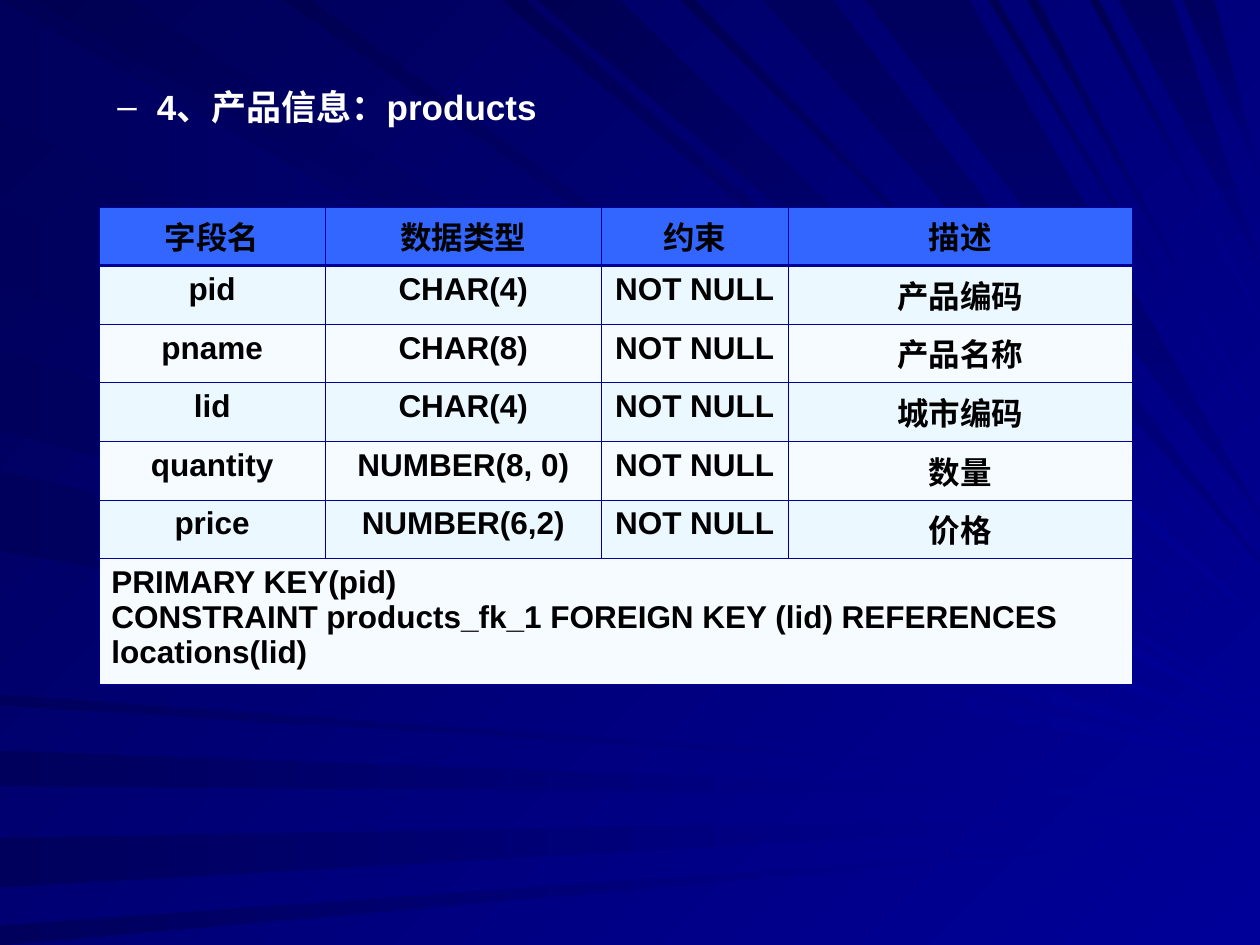
from dataclasses import dataclass

from lxml.etree import SubElement
from pptx import Presentation
from pptx.dml.color import RGBColor
from pptx.enum.text import PP_ALIGN
from pptx.oxml.ns import qn
from pptx.util import Pt


@dataclass(frozen=True)
class Theme:
    font: str = "Arial"
    heading_size: float = 20
    table_size: float = 18
    heading: str = "FFFFFF"
    table_text: str = "000000"
    header_fill: str = "3366FF"
    row_fills: tuple = ("ECF8FF", "F6FBFF")
    border: str = "000099"
    thin: float = 0.45
    thick: float = 1.47
    # Gradients are (start colour, end colour, counter-clockwise angle).
    background: tuple = ("000099", "000057", 135)
    flat_ray: tuple = ("000099", "00005C", 180)
    diagonal_ray: tuple = ("000099", "000052", 135)
    steep_ray: tuple = ("00005E", "000080", 270)


THEME = Theme()
HEADING = "4、产品信息：products"
ROWS = [
    ("字段名", "数据类型", "约束", "描述"),
    ("pid", "CHAR(4)", "NOT NULL", "产品编码"),
    ("pname", "CHAR(8)", "NOT NULL", "产品名称"),
    ("lid", "CHAR(4)", "NOT NULL", "城市编码"),
    ("quantity", "NUMBER(8, 0)", "NOT NULL", "数量"),
    ("price", "NUMBER(6,2)", "NOT NULL", "价格"),
]
CONSTRAINTS = [
    "PRIMARY KEY(pid)",
    "CONSTRAINT products_fk_1 FOREIGN KEY (lid) REFERENCES locations(lid)",
]
COLUMN_WIDTHS = [129.5, 157.5, 107, 196.5]
ROW_HEIGHT, CONSTRAINT_HEIGHT = 33.5, 67.5
SLIDE_WIDTH, SLIDE_HEIGHT = 720, 540

# Each ray tapers from a stretch (start, end) of the left or top edge
# to a point at the given height on the right edge.
LEFT_RAYS = [
    (1, 67, 410), (429, 449, 455), (479, 507, 466), (529, 540, 477),
    (114, 164, 421), (200, 246, 433), (269, 315, 436), (397, 403, 448),
]
DIAGONAL_RAYS = [
    (19, 73, 405), (162, 178, 396), (287, 300, 373), (307, 354, 355),
    (389, 397, 333), (565, 570, 257), (587, 593, 242), (623, 628, 182),
]
STEEP_RAYS = [(436, 476, 321), (494, 554, 294), (639, 670, 151), (676, 694, 101)]


def paint(fill, paint_value):
    """Apply one colour, or a (start, end, angle) gradient."""
    if isinstance(paint_value, str):
        fill.solid()
        fill.fore_color.rgb = RGBColor.from_string(paint_value)
        return
    *colors, angle = paint_value
    fill.gradient()
    fill.gradient_angle = angle
    for stop, color in zip(fill.gradient_stops, colors):
        stop.color.rgb = RGBColor.from_string(color)


def add_run(paragraph, text, size, color):
    run = paragraph.add_run()
    run.text = text
    run.font.name = THEME.font
    run.font.size = Pt(size)
    run.font.bold = True
    run.font.color.rgb = RGBColor.from_string(color)


def add_rays(slide):
    rays = slide.shapes.add_group_shape().shapes
    for bands, from_left, gradient in (
        (LEFT_RAYS, True, THEME.flat_ray),
        (DIAGONAL_RAYS, False, THEME.diagonal_ray),
        (STEEP_RAYS, False, THEME.steep_ray),
    ):
        for start, end, tip in bands:
            edge = [(0, start), (0, end)] if from_left else [(start, 0), (end, 0)]
            builder = rays.build_freeform(*edge[0], scale=Pt(1))
            builder.add_line_segments([edge[1], (SLIDE_WIDTH, tip)], close=True)
            shape = builder.convert_to_shape()
            shape.shadow.inherit = False
            shape.line.fill.background()
            paint(shape.fill, gradient)


def add_heading(slide):
    box = slide.shapes.add_textbox(Pt(24), Pt(45.5), Pt(672), Pt(463))
    box.text_frame.word_wrap = True
    paragraph = box.text_frame.paragraphs[0]
    paragraph.level = 1
    properties = paragraph._p.get_or_add_pPr()
    properties.set("marL", str(Pt(58.5)))
    properties.set("indent", str(Pt(-22.5)))
    bullet_color = SubElement(properties, qn("a:buClr"))
    SubElement(bullet_color, qn("a:srgbClr"), val=THEME.heading)
    SubElement(properties, qn("a:buFont"), typeface=THEME.font)
    SubElement(properties, qn("a:buChar"), char="–")
    add_run(paragraph, HEADING, THEME.heading_size, THEME.heading)


def set_borders(cell, row_index):
    thick_side = {0: "lnB", 1: "lnT"}.get(row_index)
    properties = cell._tc.get_or_add_tcPr()
    for side in ("lnL", "lnR", "lnT", "lnB"):
        width = THEME.thick if side == thick_side else THEME.thin
        line = SubElement(properties, qn(f"a:{side}"), w=str(Pt(width)))
        color = SubElement(line, qn("a:solidFill"))
        SubElement(color, qn("a:srgbClr"), val=THEME.border)


def fill_cell(cell, lines, alignment):
    frame = cell.text_frame
    for index, text in enumerate(lines):
        paragraph = frame.add_paragraph() if index else frame.paragraphs[0]
        paragraph.alignment = alignment
        add_run(paragraph, text, THEME.table_size, THEME.table_text)


def add_field_table(slide):
    heights = [ROW_HEIGHT] * len(ROWS) + [CONSTRAINT_HEIGHT]
    table = slide.shapes.add_table(
        len(heights), len(COLUMN_WIDTHS), Pt(56.5), Pt(118.25),
        Pt(sum(COLUMN_WIDTHS)), Pt(sum(heights)),
    ).table
    table.first_row = table.horz_banding = False
    for column, width in zip(table.columns, COLUMN_WIDTHS):
        column.width = Pt(width)
    for row_index, (row, height) in enumerate(zip(table.rows, heights)):
        row.height = Pt(height)
        row_fill = THEME.row_fills[(row_index - 1) % 2] if row_index else THEME.header_fill
        for cell in row.cells:
            set_borders(cell, row_index)
            paint(cell.fill, row_fill)
    for row_index, texts in enumerate(ROWS):
        for column_index, text in enumerate(texts):
            fill_cell(table.cell(row_index, column_index), [text], PP_ALIGN.CENTER)
    last_row = len(ROWS)
    constraint_cell = table.cell(last_row, 0)
    constraint_cell.merge(table.cell(last_row, len(COLUMN_WIDTHS) - 1))
    fill_cell(constraint_cell, CONSTRAINTS, PP_ALIGN.LEFT)


def main():
    presentation = Presentation()
    presentation.slide_width = Pt(SLIDE_WIDTH)
    presentation.slide_height = Pt(SLIDE_HEIGHT)
    slide = presentation.slides.add_slide(presentation.slide_layouts[6])
    paint(slide.background.fill, THEME.background)
    add_rays(slide)
    add_heading(slide)
    add_field_table(slide)
    presentation.save("out.pptx")


if __name__ == "__main__":
    main()
